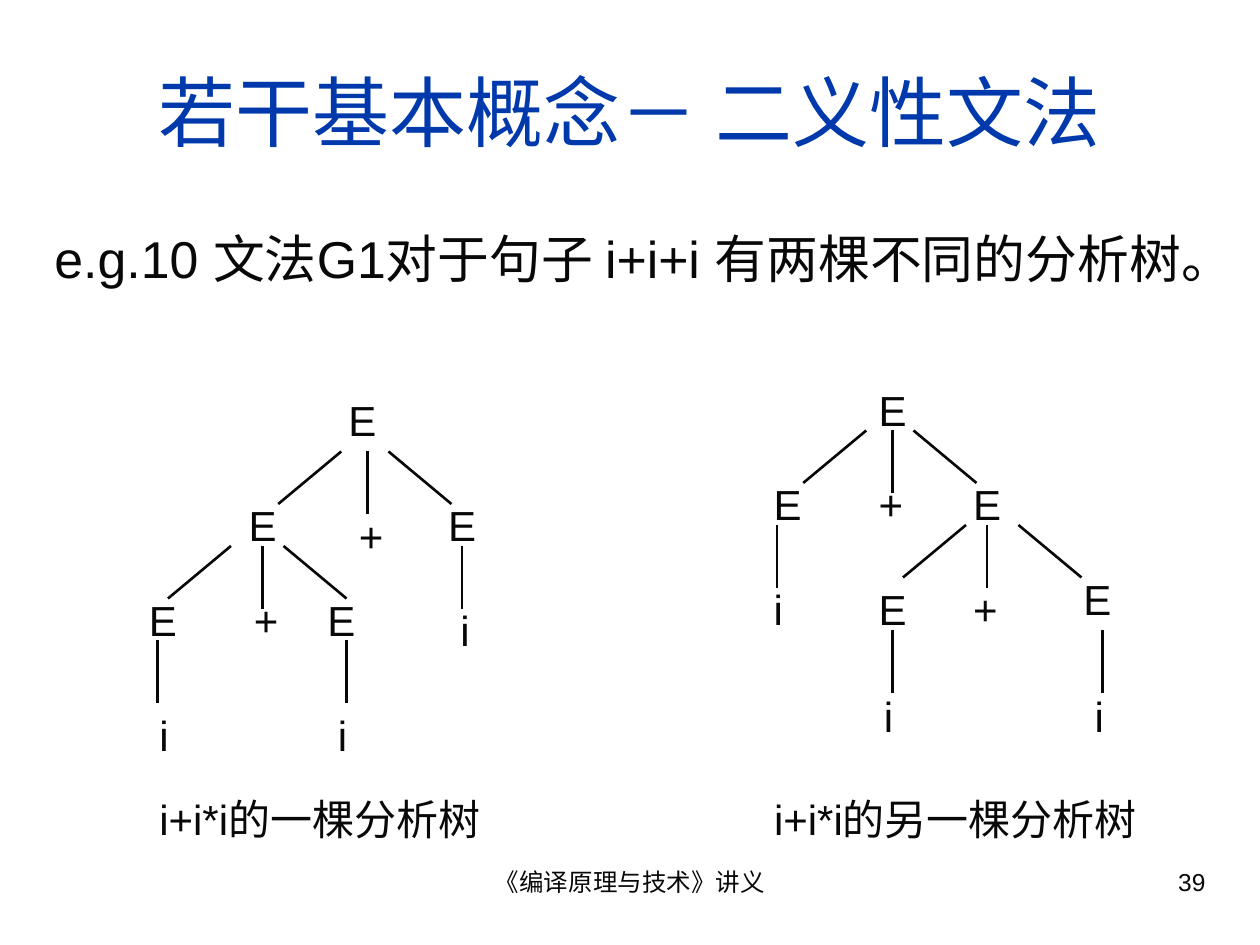
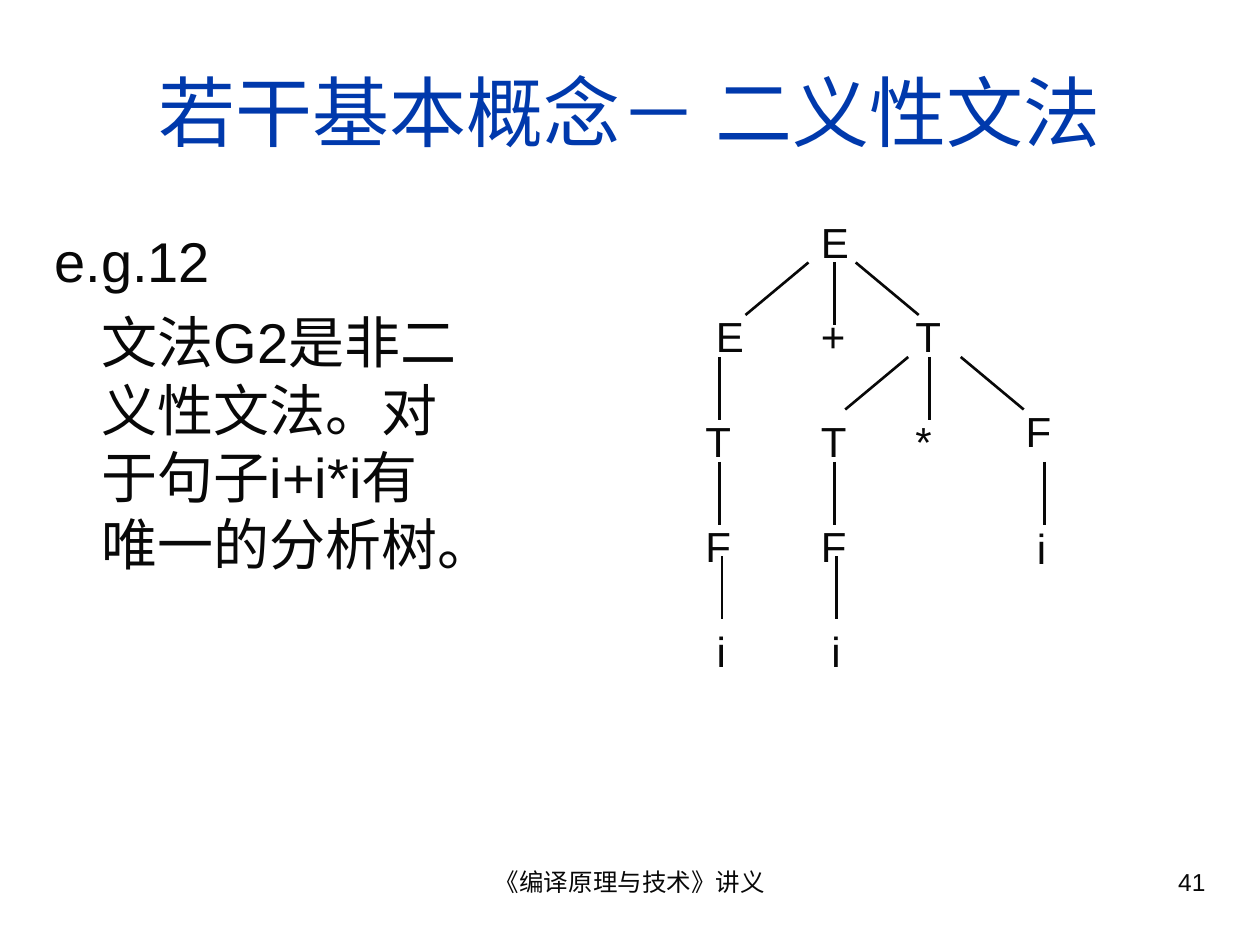
from dataclasses import dataclass

from lxml import etree
from pptx import Presentation
from pptx.dml.color import RGBColor
from pptx.enum.shapes import MSO_CONNECTOR
from pptx.enum.text import MSO_ANCHOR, MSO_AUTO_SIZE, PP_ALIGN
from pptx.oxml.ns import qn
from pptx.util import Pt

STRAIGHT = MSO_CONNECTOR.STRAIGHT
LEFT, CENTER, RIGHT = PP_ALIGN.LEFT, PP_ALIGN.CENTER, PP_ALIGN.RIGHT
TOP, MIDDLE = MSO_ANCHOR.TOP, MSO_ANCHOR.MIDDLE
GROW = MSO_AUTO_SIZE.SHAPE_TO_FIT_TEXT

INK = RGBColor(0x08, 0x08, 0x08)
BLUE = RGBColor(0x00, 0x39, 0xAC)
WHITE = RGBColor(0xFF, 0xFF, 0xFF)
FONT = "Arial"
TITLE = "若干基本概念－ 二义性文法"
FOOTER = "《编译原理与技术》讲义"

SYMBOL_SIZE = 24
SYMBOL_HEIGHT = 36
LEAF_WIDTH = 19.5   # a leaf box hugs its letter and does not wrap
STEM = 36           # length of an upright branch
SPREAD, DROP = 36, 30   # run and fall of a slanted branch
HANG = 27           # hanging indent of body text


@dataclass
class Symbol:
    """A grammar symbol at a place in the tree."""
    text: str
    x: float
    y: float
    width: float = 48


@dataclass
class Fan:
    """Three branches below a node: left, upright and right starting points."""
    y: float
    left: float
    stem: float
    right: float


@dataclass
class Tree:
    """A parse tree: symbols, three-way fans and single upright stems (x, y)."""
    symbols: list[Symbol]
    fans: list[Fan]
    stems: list[tuple[float, float]]


@dataclass
class Caption:
    """A line of text below a tree."""
    text: str
    x: float
    width: float
    align: PP_ALIGN


LEFT_TREE = Tree(
    [Symbol("E", 192, 222),
     Symbol("E", 135, 282), Symbol("+", 198, 288), Symbol("E", 249, 282),
     Symbol("E", 78, 336, 42), Symbol("+", 138, 336), Symbol("E", 180, 336, 42),
     Symbol("i", 256, 342, LEAF_WIDTH),
     Symbol("i", 84, 402, LEAF_WIDTH), Symbol("i", 186, 402, 24)],
    [Fan(258, 195, 210, 222), Fan(312, 132, 150, 162)],
    [(264, 312), (90, 366), (198, 366)])

RIGHT_TREE = Tree(
    [Symbol("E", 495, 216),
     Symbol("E", 435, 270), Symbol("+", 495, 270), Symbol("E", 549, 270),
     Symbol("i", 435, 330, 36), Symbol("E", 495, 330, 42),
     Symbol("+", 549, 330), Symbol("E", 612, 324, 42),
     Symbol("i", 498, 391, LEAF_WIDTH), Symbol("i", 618.5, 391, LEAF_WIDTH)],
    [Fan(246, 495, 510, 522), Fan(300, 552, 564, 582)],
    [(444, 300), (510, 360), (630, 360)])

UNIQUE_TREE = Tree(
    [Symbol("E", 462, 120),
     Symbol("E", 402, 174), Symbol("+", 462, 174), Symbol("T", 516, 174),
     Symbol("T", 396, 234, 42), Symbol("T", 462, 234, 42),
     Symbol("*", 516, 234), Symbol("F", 579, 228, 42),
     Symbol("F", 396, 294, 42), Symbol("F", 462, 294, 42),
     Symbol("i", 585.5, 295, LEAF_WIDTH),
     Symbol("i", 402.5, 354, LEAF_WIDTH), Symbol("i", 468, 354, LEAF_WIDTH)],
    [Fan(150, 462, 477, 489), Fan(204, 519, 531, 549)],
    [(411, 204), (411, 264), (412.5, 318),
     (477, 264), (478, 318), (597, 264)])

CAPTIONS = [Caption("i+i*i的一棵分析树", 84, 216, LEFT),
            Caption("i+i*i的另一棵分析树", 426, 240, CENTER)]


def add_text(s, lines: list[str], x: float, y: float, w: float, h: float,
             size: float, color: RGBColor = INK, align: PP_ALIGN = LEFT,
             anchor: MSO_ANCHOR = TOP, before: float = 0):
    """Add a wrapping text box, one paragraph a line, and return its frame."""
    tf = s.shapes.add_textbox(Pt(x), Pt(y), Pt(w), Pt(h)).text_frame
    tf.word_wrap = True
    tf.vertical_anchor = anchor
    tf.text = "\n".join(lines)
    for p in tf.paragraphs:
        p.alignment = align
        p.space_before = Pt(before)
        for r in p.runs:
            r.font.name = FONT
            r.font.size = Pt(size)
            r.font.color.rgb = color
    return tf


def add_branch(s, x: float, y: float, dx: float, dy: float) -> None:
    """Draw a branch from (x, y), running by (dx, dy)."""
    c = s.shapes.add_connector(STRAIGHT, Pt(x), Pt(y), Pt(x + dx), Pt(y + dy))
    c.line.color.rgb = INK
    c.line.width = Pt(1.5)
    etree.SubElement(c._element.spPr, qn("a:effectLst"))


def add_tree(s, tree: Tree) -> None:
    """Draw the symbols and branches of a parse tree."""
    for sym in tree.symbols:
        leaf = sym.width == LEAF_WIDTH
        tf = add_text(s, [sym.text], sym.x, sym.y, sym.width, SYMBOL_HEIGHT,
                      SYMBOL_SIZE, before=0 if leaf else 15)
        tf.word_wrap = not leaf
        tf.auto_size = GROW
    for fan in tree.fans:
        add_branch(s, fan.left, fan.y, -SPREAD, DROP)
        add_branch(s, fan.stem, fan.y, 0, STEM)
        add_branch(s, fan.right, fan.y, SPREAD, DROP)
    for x, y in tree.stems:
        add_branch(s, x, y, 0, STEM)


def add_body(s, lines: list[str], w: float, h: float, size: float) -> None:
    """Add body text whose first line hangs out to the left."""
    tf = add_text(s, lines, 24, 126, w, h, size, before=8)
    for i, p in enumerate(tf.paragraphs):
        pPr = p._p.get_or_add_pPr()
        pPr.set("marL", str(Pt(HANG)))
        pPr.set("indent", str(0 if i else -Pt(HANG)))


def new_slide(prs, number: int):
    """Add a slide with the shared background, title, footer and number."""
    s = prs.slides.add_slide(prs.slide_layouts[6])
    s.background.fill.solid()
    s.background.fill.fore_color.rgb = WHITE
    add_text(s, [FOOTER], 246, 492, 228, 37.5, 14, align=CENTER)
    add_text(s, [str(number)], 516, 492, 180, 37.5, 14, align=RIGHT)
    add_text(s, [TITLE], 24, 18, 672, 90, 44, BLUE, CENTER, MIDDLE)
    return s


def main() -> None:
    """Build both slides and save the presentation."""
    prs = Presentation()
    prs.slide_width, prs.slide_height = Pt(720), Pt(540)

    s = new_slide(prs, 39)
    add_body(s, ["e.g.10 文法G1对于句子 i+i+i 有两棵不同的分析树。"], 672, 84, 29.6)
    add_tree(s, LEFT_TREE)
    add_tree(s, RIGHT_TREE)
    for cap in CAPTIONS:
        tf = add_text(s, [cap.text], cap.x, 450, cap.width, SYMBOL_HEIGHT,
                      SYMBOL_SIZE, align=cap.align, before=15)
        tf.auto_size = GROW

    s = new_slide(prs, 41)
    add_body(s, ["e.g.12", "文法G2是非二义性文法。对于句子i+i*i有唯一的分析树。"],
             246, 354, 32)
    add_tree(s, UNIQUE_TREE)

    prs.save("out.pptx")


main()
